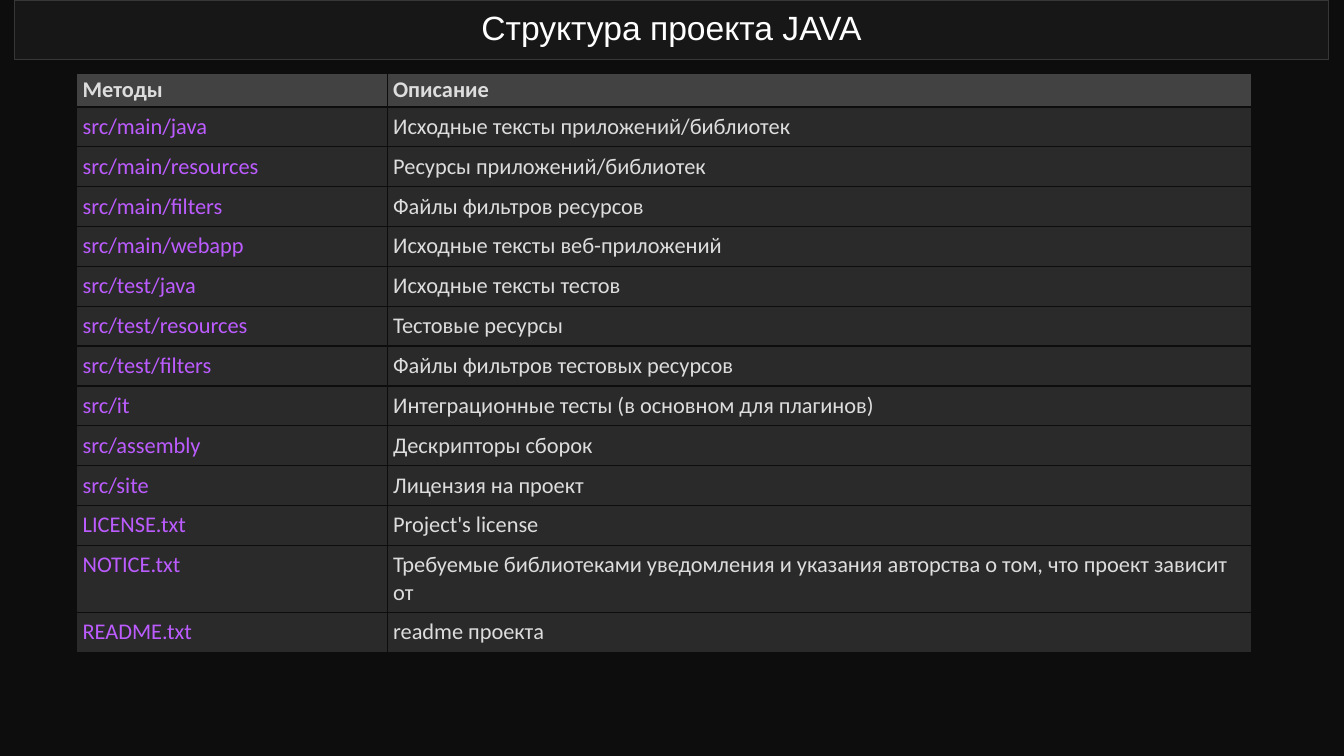
from dataclasses import dataclass

from lxml.etree import SubElement
from pptx import Presentation
from pptx.dml.color import RGBColor
from pptx.enum.shapes import MSO_SHAPE
from pptx.enum.text import MSO_ANCHOR, PP_ALIGN
from pptx.oxml.ns import qn
from pptx.slide import Slide
from pptx.table import _Cell
from pptx.text.text import _Paragraph
from pptx.util import Inches, Pt


@dataclass(frozen=True)
class Theme:
    background: str = "0D0D0D"
    title_fill: str = "171717"
    title_line: str = "373737"
    title_text: str = "FFFFFF"
    header_fill: str = "424242"
    body_fill: str = "2A2A2B"
    text: str = "DDDDDD"
    location: str = "BC5CFF"
    title_font: str = "Arial"
    table_font: str = "Calibri"
    title_size: int = 24
    table_size: int = 16


@dataclass(frozen=True)
class Entry:
    location: str
    description: str
    lines: int = 1


@dataclass(frozen=True)
class CellStyle:
    fill: str
    color: str
    margin: float
    anchor: MSO_ANCHOR = MSO_ANCHOR.TOP
    bold: bool = False


THEME = Theme()
HEADER_STYLE = CellStyle(THEME.header_fill, THEME.text, 0.03, MSO_ANCHOR.MIDDLE, True)
LOCATION_STYLE = CellStyle(THEME.body_fill, THEME.location, 0.06)
DESCRIPTION_STYLE = CellStyle(THEME.body_fill, THEME.text, 0.06)

HEADER = Entry("Методы", "Описание")
ENTRIES = [
    Entry("src/main/java", "Исходные тексты приложений/библиотек"),
    Entry("src/main/resources", "Ресурсы приложений/библиотек"),
    Entry("src/main/filters", "Файлы фильтров ресурсов"),
    Entry("src/main/webapp", "Исходные тексты веб-приложений"),
    Entry("src/test/java", "Исходные тексты тестов"),
    Entry("src/test/resources", "Тестовые ресурсы"),
    Entry("src/test/filters", "Файлы фильтров тестовых ресурсов"),
    Entry("src/it", "Интеграционные тесты (в основном для плагинов)"),
    Entry("src/assembly", "Дескрипторы сборок"),
    Entry("src/site", "Лицензия на проект"),
    Entry("LICENSE.txt", "Project's license"),
    Entry(
        "NOTICE.txt",
        "Требуемые библиотеками уведомления и указания авторства о том, что проект зависит от",
        lines=2,
    ),
    Entry("README.txt", "readme проекта"),
]

TABLE_LEFT, TABLE_TOP = 0.76, 0.73
COLUMN_WIDTHS = (3.08, 8.57)
HEADER_HEIGHT = 0.33
ROW_HEIGHT = 4.35 / 11
LINE_HEIGHT = 0.27
BORDER_WIDTH = 1


def rgb(color: str) -> RGBColor:
    return RGBColor.from_string(color)


def add_text(
    paragraph: _Paragraph, text: str, font: str, size: int, color: str, bold: bool = False
) -> None:
    span = paragraph.add_run()
    span.text = text
    span.font.name = font
    span.font.size = Pt(size)
    span.font.color.rgb = rgb(color)
    span.font.bold = bold


def add_title(page: Slide, text: str) -> None:
    box = page.shapes.add_shape(
        MSO_SHAPE.RECTANGLE, Inches(0.14), Inches(0), Inches(13.04), Inches(0.59)
    )
    box.shadow.inherit = False
    box.fill.solid()
    box.fill.fore_color.rgb = rgb(THEME.title_fill)
    box.line.color.rgb = rgb(THEME.title_line)
    box.line.width = Pt(0.75)
    box.text_frame.word_wrap = True
    box.text_frame.vertical_anchor = MSO_ANCHOR.MIDDLE
    paragraph = box.text_frame.paragraphs[0]
    paragraph.alignment = PP_ALIGN.CENTER
    paragraph.line_spacing = 0.9
    add_text(paragraph, text, THEME.title_font, THEME.title_size, THEME.title_text)


def add_borders(cell: _Cell) -> None:
    """Draw all four cell borders; call before the fill, which must follow them in XML."""
    properties = cell._tc.get_or_add_tcPr()
    for side in ("a:lnL", "a:lnR", "a:lnT", "a:lnB"):
        line = SubElement(properties, qn(side), w=str(Pt(BORDER_WIDTH)))
        fill = SubElement(line, qn("a:solidFill"))
        SubElement(fill, qn("a:srgbClr"), val=THEME.background)


def fill_cell(cell: _Cell, text: str, style: CellStyle) -> None:
    add_borders(cell)
    cell.fill.solid()
    cell.fill.fore_color.rgb = rgb(style.fill)
    cell.vertical_anchor = style.anchor
    cell.margin_left = cell.margin_right = Inches(0.06)
    cell.margin_top = cell.margin_bottom = Inches(style.margin)
    paragraph = cell.text_frame.paragraphs[0]
    add_text(paragraph, text, THEME.table_font, THEME.table_size, style.color, style.bold)


def add_structure_table(page: Slide) -> None:
    heights = [HEADER_HEIGHT]
    heights += [ROW_HEIGHT + (entry.lines - 1) * LINE_HEIGHT for entry in ENTRIES]
    table = page.shapes.add_table(
        len(heights),
        len(COLUMN_WIDTHS),
        Inches(TABLE_LEFT),
        Inches(TABLE_TOP),
        Inches(sum(COLUMN_WIDTHS)),
        Inches(sum(heights)),
    ).table
    table.horz_banding = False
    for column, width in zip(table.columns, COLUMN_WIDTHS):
        column.width = Inches(width)
    for row, height in zip(table.rows, heights):
        row.height = Inches(height)
    for index, entry in enumerate([HEADER, *ENTRIES]):
        is_header = entry is HEADER
        location_style = HEADER_STYLE if is_header else LOCATION_STYLE
        description_style = HEADER_STYLE if is_header else DESCRIPTION_STYLE
        fill_cell(table.cell(index, 0), entry.location, location_style)
        fill_cell(table.cell(index, 1), entry.description, description_style)


def main() -> None:
    deck = Presentation()
    deck.slide_width = Inches(13.33)
    deck.slide_height = Inches(7.5)
    page = deck.slides.add_slide(deck.slide_layouts[6])
    page.background.fill.solid()
    page.background.fill.fore_color.rgb = rgb(THEME.background)
    add_title(page, "Структура проекта JAVA")
    add_structure_table(page)
    deck.save("out.pptx")


if __name__ == "__main__":
    main()
